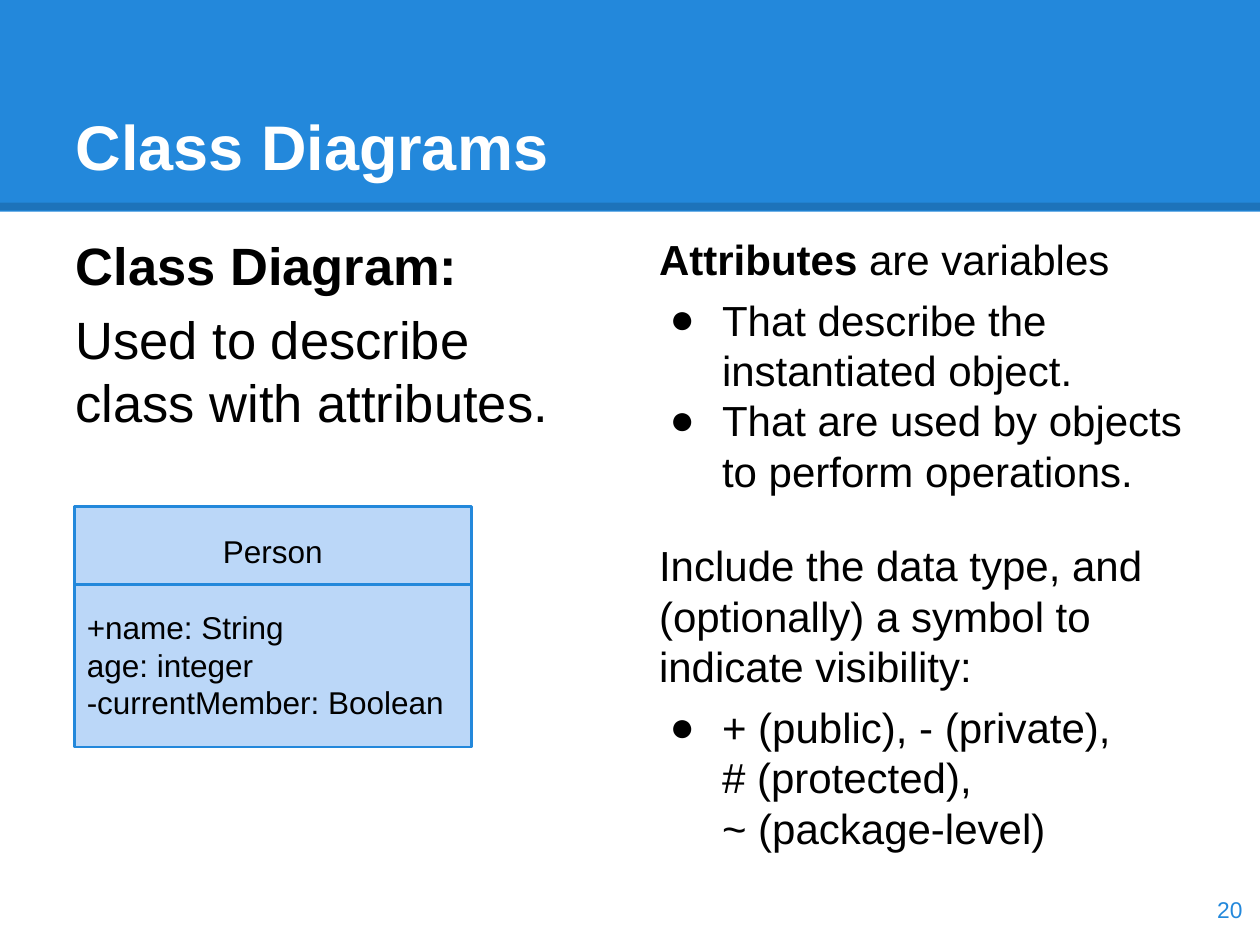
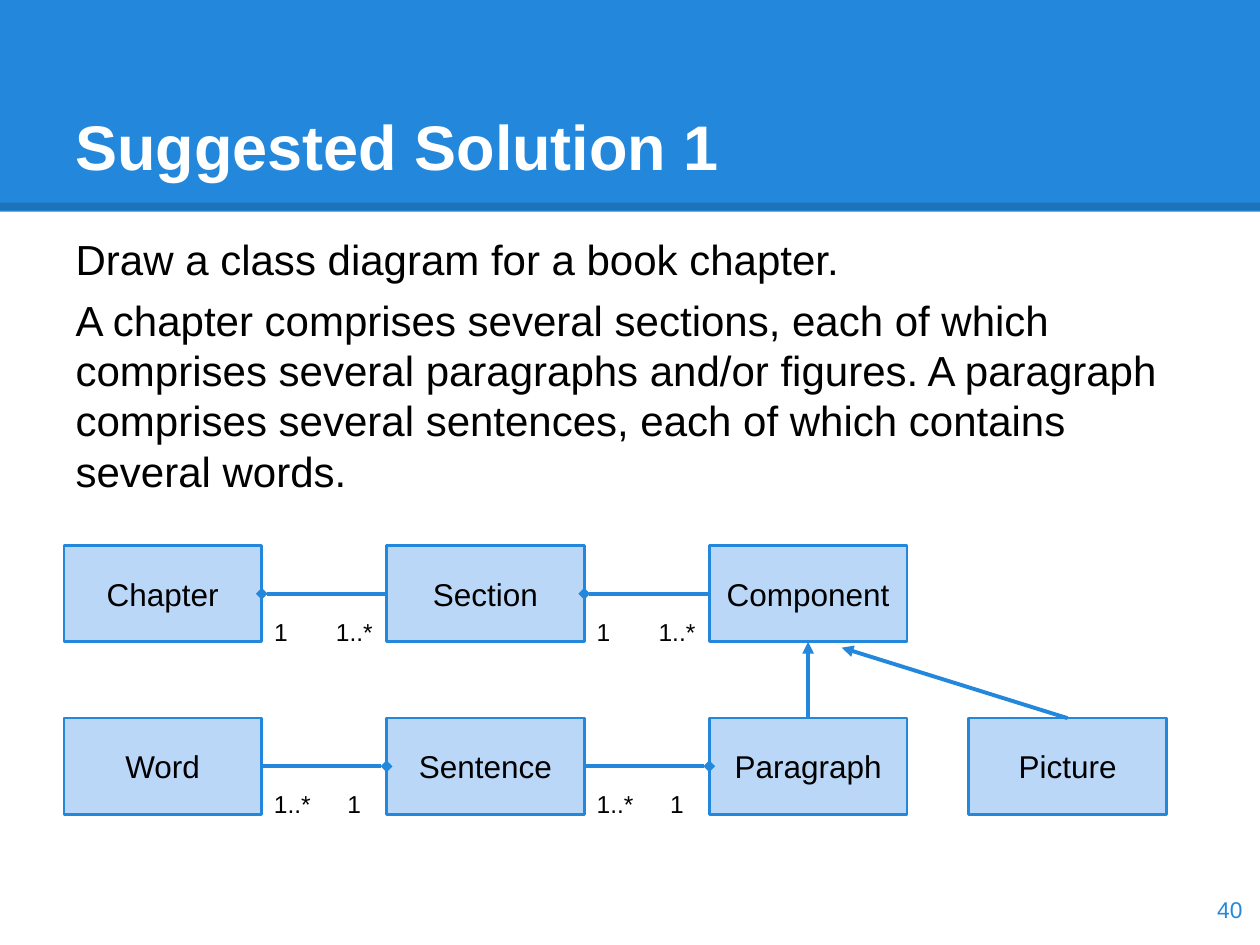
from pptx import Presentation
from pptx.dml.color import RGBColor
from pptx.enum.shapes import MSO_CONNECTOR as Link, MSO_SHAPE as Preset
from pptx.enum.text import MSO_ANCHOR as Anchor, MSO_AUTO_SIZE as AutoSize, PP_ALIGN as Align
from pptx.oxml.ns import qn
from pptx.util import Pt
from lxml.etree import SubElement

BLUE = RGBColor(0x23, 0x88, 0xDB)
PALE = RGBColor(0xBB, 0xD7, 0xF8)
BLACK = RGBColor(0, 0, 0)
WHITE = RGBColor(0xFF, 0xFF, 0xFF)
FONT = "Arial"
WIDTH, HEIGHT = 720, 540
BAND_HEIGHT, BAND_EDGE = 121, 118
INSET = 7.2
TITLE_AREA = (36, 21.6, 648, 90)
NUMBER_AREA = (673.9, 499, 43.2, 41)
TOP, LEFT, BOTTOM, RIGHT = 0, 1, 2, 3

# Each paragraph: (space before, bulleted, [(text, bold), ...])
DEFINITION = [
    (0, False, [("Class Diagram:", True)]),
    (6, False, [("Used to describe class with attributes.", False)]),
]
ATTRIBUTES = [
    (0, False, [("Attributes ", True), ("are variables", False)]),
    (6, True, [("That describe the instantiated object.", False)]),
    (0, True, [("That are used by objects to perform operations.", False)]),
    (25.2, False, [("Include the data type, and (optionally) a symbol to indicate visibility:", False)]),
    (6, True, [("+ (public), - (private), \n# (protected), \n~ (package-level)", False)]),
]
EXERCISE = [
    (0, False, [("Draw a class diagram for a book chapter.", False)]),
    (6, False, [("A chapter comprises several sections, each of which comprises several "
                 "paragraphs and/or figures. A paragraph comprises several sentences, "
                 "each of which contains several words.", False)]),
]
PAGES = [
    {"title": "Class Diagrams", "number": "20", "layout": 3, "bodies": [
        ((36, 126, 314.6, 144.7), 30, DEFINITION),
        ((369.4, 126, 314.6, 184.3), 24, ATTRIBUTES)]},
    {"title": "Suggested Solution 1", "number": "40", "layout": 1, "bodies": [
        ((36, 126, 648, 163.4), 24, EXERCISE)]},
]

PERSON_AREA = (42.5, 289.4, 226.8, 137.5)
PERSON_DIVIDER = 334.1
PERSON_FIELDS = ["+name: String", "age: integer", "-currentMember: Boolean"]

CLASS_WIDTH, CLASS_HEIGHT = 113, 55
COLUMNS = [36.5 + 184.4 * step for step in range(3)] + [553.6]
ROWS = [311.8, 410.4]
CLASSES = {
    "Chapter": (0, 0), "Section": (1, 0), "Component": (2, 0),
    "Word": (0, 1), "Sentence": (1, 1), "Paragraph": (2, 1), "Picture": (3, 1),
}
# Each composition: (part, whole)
COMPOSITIONS = [
    ("Section", "Chapter"), ("Component", "Section"),
    ("Sentence", "Paragraph"), ("Word", "Sentence"),
]
LABEL_DROP, LABEL_HEIGHT = 33.5, 16.6
ONE, MANY = ("1", 23), ("1..*", 36)
PICTURE_ARROW_END = (481, 370.1)


def points(*lengths):
    return [Pt(length) for length in lengths]


def add_span(para, text, size, color=BLACK, bold=False):
    for index, line in enumerate(text.split("\n")):
        if index:
            para.add_line_break()
        span = para.add_run()
        span.text = line
        font = span.font
        font.name, font.size, font.bold = FONT, Pt(size), bold
        font.color.rgb = color


def prepare(box, anchor):
    frame = box.text_frame
    frame.word_wrap, frame.auto_size = True, AutoSize.NONE
    frame.vertical_anchor = anchor
    frame.margin_left = frame.margin_right = Pt(INSET)
    frame.margin_top = frame.margin_bottom = Pt(INSET)
    return frame


def set_bullet(para, bulleted):
    props = para._p.get_or_add_pPr()
    props.set("marL", str(Pt(36 if bulleted else 0)))
    props.set("indent", str(Pt(-30 if bulleted else 0)))
    if bulleted:
        color = SubElement(props, qn("a:buClr"))
        SubElement(color, qn("a:srgbClr"), val=str(BLACK))
        SubElement(props, qn("a:buFont"), typeface=FONT)
        SubElement(props, qn("a:buChar"), char="●")
    else:
        SubElement(props, qn("a:buNone"))


def place(box, area):
    box.left, box.top, box.width, box.height = points(*area)


def fill_body(box, area, size, paragraphs):
    place(box, area)
    frame = prepare(box, Anchor.TOP)
    for index, (before, bulleted, spans) in enumerate(paragraphs):
        para = frame.add_paragraph() if index else frame.paragraphs[0]
        set_bullet(para, bulleted)
        para.alignment = Align.LEFT
        para.space_before = Pt(before)
        for text, bold in spans:
            add_span(para, text, size, bold=bold)


def add_label(page, area, text, size, color=BLACK, align=Align.LEFT, anchor=Anchor.TOP):
    para = prepare(page.shapes.add_textbox(*points(*area)), anchor).paragraphs[0]
    para.alignment = align
    add_span(para, text, size, color)


def add_page(deck, content):
    page = deck.slides.add_slide(deck.slide_layouts[content["layout"]])
    title = page.shapes.title
    place(title, TITLE_AREA)
    para = prepare(title, Anchor.BOTTOM).paragraphs[0]
    para.alignment = Align.LEFT
    add_span(para, content["title"], 36, WHITE, True)
    for index, body in enumerate(content["bodies"], 1):
        fill_body(page.placeholders[index], *body)
    add_label(page, NUMBER_AREA, content["number"], 13, BLUE, Align.RIGHT, Anchor.MIDDLE)
    return page


def add_block(page, area, fill):
    block = page.shapes.add_shape(Preset.RECTANGLE, *points(*area))
    block.shadow.inherit = False
    block.fill.solid()
    block.fill.fore_color.rgb = fill
    return block


def add_class(page, area, name):
    box = add_block(page, area, PALE)
    box.line.color.rgb, box.line.width = BLUE, Pt(1.5)
    para = prepare(box, Anchor.MIDDLE).paragraphs[0]
    para.alignment = Align.CENTER
    add_span(para, name, 18)
    return box


def add_line(page, start, end, width, color=BLUE, head=None):
    line = page.shapes.add_connector(Link.STRAIGHT, *points(*start, *end))
    line.line.color.rgb, line.line.width = color, Pt(width)
    props = line.element.spPr
    if head:
        SubElement(props.find(qn("a:ln")), qn("a:tailEnd"), type=head)
    SubElement(props, qn("a:effectLst"))
    return line


def join(page, source, source_side, target, target_side, head):
    line = add_line(page, (0, 0), (0, 0), 2.25, head=head)
    line.begin_connect(source, source_side)
    line.end_connect(target, target_side)


def draw_person(page):
    left, top, width, height = PERSON_AREA
    box = add_class(page, PERSON_AREA, "Person")
    box.text_frame.paragraphs[0].space_after = Pt(21.5)
    for field in PERSON_FIELDS:
        para = box.text_frame.add_paragraph()
        para.alignment = Align.LEFT
        add_span(para, field, 18)
    add_line(page, (left, PERSON_DIVIDER), (left + width, PERSON_DIVIDER), 1.5)


def draw_chapter(page):
    boxes = {name: add_class(page, (COLUMNS[column], ROWS[row], CLASS_WIDTH, CLASS_HEIGHT), name)
             for name, (column, row) in CLASSES.items()}
    for part, whole in COMPOSITIONS:
        column, row = min(CLASSES[part], CLASSES[whole])
        whole_first = CLASSES[whole] < CLASSES[part]
        sides = (LEFT, RIGHT) if whole_first else (RIGHT, LEFT)
        join(page, boxes[part], sides[0], boxes[whole], sides[1], "diamond")
        near, far = (ONE, MANY) if whole_first else (MANY, ONE)
        far_gap = 36 if whole_first else 29.5
        spots = [(near, COLUMNS[column] + CLASS_WIDTH), (far, COLUMNS[column + 1] - far_gap)]
        for (text, width), left in spots:
            add_label(page, (left, ROWS[row] + LABEL_DROP, width, LABEL_HEIGHT), text, 14)
    join(page, boxes["Paragraph"], TOP, boxes["Component"], BOTTOM, "triangle")
    arrow = add_line(page, (0, 0), PICTURE_ARROW_END, 2.25, head="triangle")
    arrow.begin_connect(boxes["Picture"], TOP)


def move_band_to_master(deck, page):
    band = add_block(page, (0, 0, WIDTH, BAND_HEIGHT), BLUE)
    band.line.fill.background()
    edge = add_line(page, (0, BAND_EDGE), (WIDTH, BAND_EDGE), 4.5, BLACK)
    for color in edge.element.spPr.iter(qn("a:srgbClr")):
        SubElement(color, qn("a:alpha"), val="15000")
    for position, shape in enumerate((band, edge), 2):
        deck.slide_master.shapes.element.insert(position, shape.element)


def main():
    """Build the two class diagram slides."""
    deck = Presentation()
    deck.slide_width, deck.slide_height = points(WIDTH, HEIGHT)
    person_page, chapter_page = [add_page(deck, content) for content in PAGES]
    draw_person(person_page)
    draw_chapter(chapter_page)
    move_band_to_master(deck, chapter_page)
    deck.save("out.pptx")


if __name__ == "__main__":
    main()
